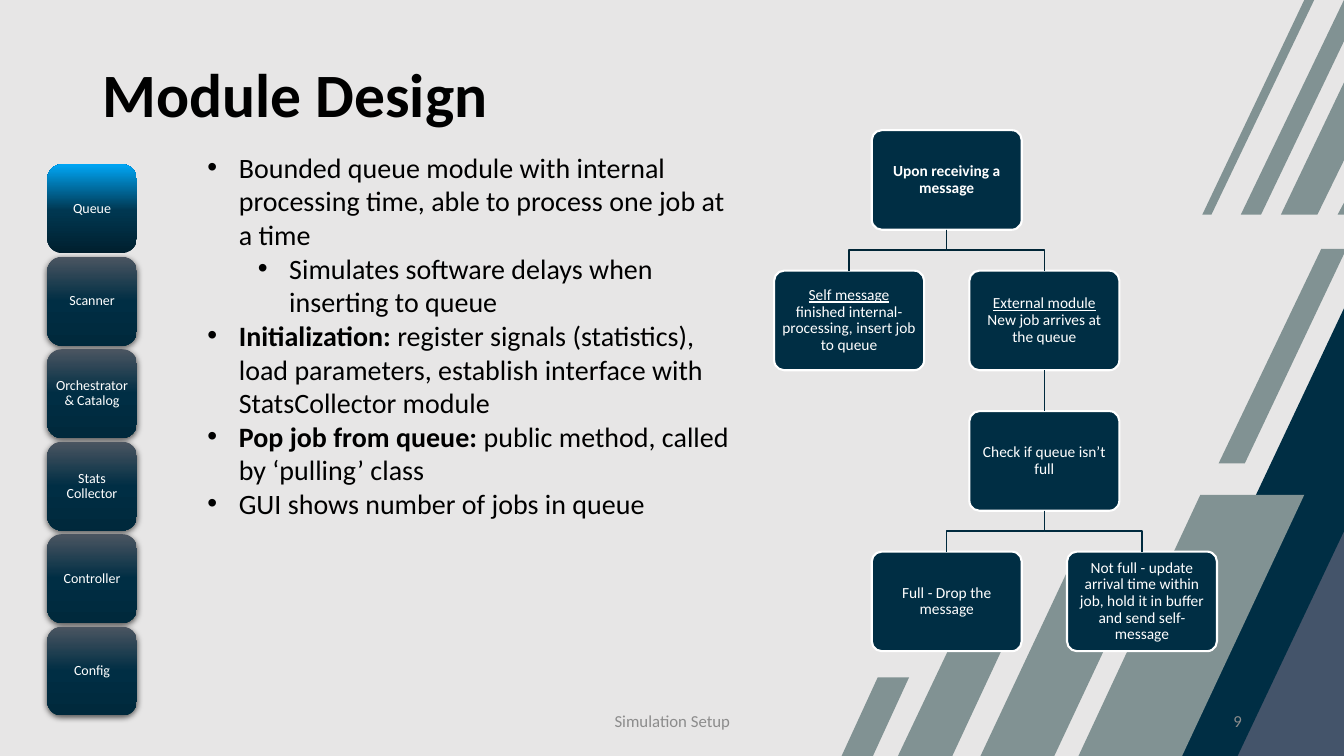
"""Build the Module Design slide with its module sidebar and message flow tree."""
from typing import NamedTuple

from lxml.etree import SubElement
from pptx import Presentation
from pptx.dml.color import RGBColor
from pptx.enum.shapes import MSO_CONNECTOR as Link, MSO_SHAPE as Preset
from pptx.enum.text import MSO_ANCHOR as Anchor, MSO_AUTO_SIZE as AutoSize, PP_ALIGN as Align
from pptx.oxml import parse_xml
from pptx.oxml.ns import nsdecls, qn
from pptx.shapes.autoshape import Shape
from pptx.slide import Slide
from pptx.util import Cm, Pt

Point = tuple[float, float]


class Theme(NamedTuple):
    font: str = "Calibri"
    backdrop: str = "E7E6E6"
    sage: str = "819293"
    slate: str = "44546A"
    navy: str = "002E44"
    upper_link: str = "002536"
    lower_link: str = "002A3E"
    ink: str = "000000"
    light: str = "FFFFFF"
    muted: str = "8C8C8C"
    active: tuple = ((0, "001F2E"), (48, "003751"), (100, "00A6F5"))
    idle: tuple = ((0, "4B5561"), (50, "002E44"), (100, "00293C"))
    title_size: int = 44
    body_size: int = 20
    footer_size: int = 12
    node_size: int = 11
    module_size: int = 10


class Run(NamedTuple):
    text: str
    bold: bool = False
    underline: bool = False
    break_after: bool = False


class Para(NamedTuple):
    runs: tuple[Run, ...]
    indent: float = 0
    level: int = 0


class Node(NamedTuple):
    column: int
    row: int
    runs: tuple[Run, ...]
    parent: str = ""


class Stripe(NamedTuple):
    color: str
    points: tuple[Point, ...]


THEME = Theme()
STRIPES = (
    Stripe(THEME.sage, ((26.57, 19.05), (24.71, 19.05), (26.92, 14.35), (28.78, 14.35))),
    Stripe(THEME.sage, ((24, 19.05), (22.63, 19.05), (24.26, 15.62), (25.6, 15.62))),
    Stripe(THEME.sage, ((22, 19.05), (21.21, 19.05), (22.12, 17.07), (22.91, 17.07))),
    Stripe(THEME.slate, ((31.19, 19.02), (29.87, 19.05), (33.87, 19.05), (33.87, 13.36))),
    Stripe(THEME.navy, ((28.55, 19.05), (31.19, 19.05), (33.87, 13.39), (33.87, 7.77))),
    Stripe(THEME.sage, ((33.3, 6.27), (30.71, 11.68), (31.37, 11.68), (33.87, 6.4), (33.87, 6.27))),
    Stripe(THEME.sage, ((30.3, 5.41), (30.53, 5.41), (33.12, 0), (32.87, 0))),
    Stripe(THEME.sage, ((33.71, 5.41), (33.87, 5.41), (33.87, 5.11))),
    Stripe(THEME.sage, ((32.28, 5.41), (33.2, 5.41), (33.87, 4.04), (33.87, 2.08))),
    Stripe(THEME.sage, ((33.87, 0), (31.27, 5.41), (31.78, 5.41), (33.87, 1.04))),
    Stripe(THEME.sage, ((29.79, 19.05), (27.18, 19.05), (30.25, 12.47), (32.87, 12.47))),
)
MODULES = ("Queue", "Scanner", "Orchestrator & Catalog", "Stats Collector", "Controller", "Config")
POINTS = (
    Para((Run("Bounded queue module with internal processing time, "
              "able to process one job at a time"),), 0.79),
    Para((Run("Simulates software delays when inserting to queue"),), 2.06, 1),
    Para((Run("Initialization: ", bold=True),
          Run("register signals (statistics), load parameters, "
              "establish interface with StatsCollector module")), 0.79),
    Para((Run("Pop job from queue: ", bold=True),
          Run("public method, called by ‘pulling’ class")), 0.79),
    Para((Run("GUI shows number of jobs in queue"),), 0.79),
)
NODES = {
    "receive": Node(1, 0, (Run("Upon receiving a message", bold=True),)),
    "self": Node(0, 1, (Run("Self message", underline=True, break_after=True),
                        Run("finished internal-processing, insert job to queue")), "receive"),
    "external": Node(2, 1, (Run("External module", underline=True, break_after=True),
                            Run("New job arrives at the queue")), "receive"),
    "check": Node(2, 2, (Run("Check if queue isn’t full"),), "external"),
    "full": Node(1, 3, (Run("Full - Drop the message"),), "check"),
    "not_full": Node(3, 3, (Run("Not full - update arrival time within job, "
                                "hold it in buffer and send self-message"),), "check"),
}


def write(target: Shape, paras: tuple[Para, ...], *, size: int, color: str,
          align: Align = Align.LEFT, anchor: Anchor = Anchor.MIDDLE, spacing: float = 1.0,
          inset: Point = (0.25, 0.13)) -> None:
    frame = target.text_frame
    frame.word_wrap, frame.vertical_anchor = True, anchor
    frame.margin_left = frame.margin_right = Cm(inset[0])
    frame.margin_top = frame.margin_bottom = Cm(inset[1])
    for index, para in enumerate(paras):
        line = frame.add_paragraph() if index else frame.paragraphs[0]
        line.alignment, line.line_spacing, line.level = align, spacing, para.level
        if para.indent:
            props = line._p.get_or_add_pPr()
            props.set("marL", str(Cm(para.indent)))
            props.set("indent", str(Cm(-0.79)))
            SubElement(props, qn("a:buFont")).set("typeface", "Arial")
            SubElement(props, qn("a:buChar")).set("char", "•")
        for part in para.runs:
            run = line.add_run()
            run.text = part.text
            run.font.name, run.font.size = THEME.font, Pt(size)
            run.font.bold, run.font.underline = part.bold, part.underline
            run.font.color.rgb = RGBColor.from_string(color)
            if part.break_after:
                line.add_line_break()


def add_label(slide: Slide, box: tuple[float, ...], paras: tuple[Para, ...], **style) -> Shape:
    label = slide.shapes.add_textbox(*map(Cm, box))
    write(label, paras, **style)
    return label


def paint(target: Shape, color: str) -> None:
    target.fill.solid()
    target.fill.fore_color.rgb = RGBColor.from_string(color)


def add_outline(slide: Slide, points: list[tuple[int, int]], closed: bool) -> Shape:
    builder = slide.shapes.build_freeform(*points[0])
    builder.add_line_segments(points[1:], close=closed)
    outline = builder.convert_to_shape()
    outline.shadow.inherit = False
    return outline


def add_module(slide: Slide, index: int, name: str, current: bool) -> None:
    tile = slide.shapes.add_shape(Preset.ROUNDED_RECTANGLE, Cm(1.19), Cm(4.14 + 2.33 * index),
                                  Cm(2.26), Cm(2.24))
    tile.line.fill.background()
    tile.shadow.inherit = False
    props = tile._element.spPr
    stops, angle = (THEME.active, 270) if current else (THEME.idle, 90)
    marks = "".join(f'<a:gs pos="{at * 1000}"><a:srgbClr val="{color}"/></a:gs>'
                    for at, color in stops)
    props.find(qn("a:prstGeom")).addnext(parse_xml(
        f'<a:gradFill {nsdecls("a")} rotWithShape="1"><a:gsLst>{marks}</a:gsLst>'
        f'<a:lin ang="{angle * 60000}" scaled="0"/></a:gradFill>'))
    if not current:
        props.find(qn("a:effectLst")).append(parse_xml(
            f'<a:outerShdw {nsdecls("a")} blurRad="{Pt(4.5)}" dist="{Pt(1.5)}" dir="5400000" '
            f'algn="ctr" rotWithShape="0"><a:srgbClr val="{THEME.ink}">'
            '<a:alpha val="63000"/></a:srgbClr></a:outerShdw>'))
    write(tile, (Para((Run(name),)),), size=THEME.module_size, color=THEME.light,
          align=Align.CENTER, spacing=0.9, inset=(0.1, 0.05))


def add_node(slide: Slide, node: Node) -> Shape:
    step = slide.shapes.add_shape(Preset.ROUNDED_RECTANGLE, Cm(19.51 + 2.46 * node.column),
                                  Cm(3.28 + 3.54 * node.row), Cm(3.78), Cm(2.51))
    step.adjustments[0] = 0.1
    step.shadow.inherit = False
    paint(step, THEME.navy)
    step.line.color.rgb, step.line.width = RGBColor.from_string(THEME.light), Pt(1.5)
    write(step, (Para(node.runs),), size=THEME.node_size, color=THEME.light,
          align=Align.CENTER, spacing=0.9, inset=(0.12, 0.12))
    return step


def add_link(slide: Slide, parent: Shape, child: Shape, color: str) -> None:
    x1, y1 = parent.left + parent.width // 2, parent.top + parent.height
    x2, y2 = child.left + child.width // 2, child.top
    if x1 == x2:
        link = slide.shapes.add_connector(Link.STRAIGHT, x1, y1, x2, y2)
        link.begin_connect(parent, 2)
        link.end_connect(child, 0)
        SubElement(link._element.spPr, qn("a:effectLst"))
    else:
        middle = (y1 + y2) // 2
        link = add_outline(slide, [(x1, y1), (x1, middle), (x2, middle), (x2, y2)], False)
        link.fill.background()
    link.line.color.rgb, link.line.width = RGBColor.from_string(color), Pt(1)


def main() -> None:
    deck = Presentation()
    deck.slide_width, deck.slide_height = Cm(33.87), Cm(19.05)
    slide = deck.slides.add_slide(deck.slide_layouts[6])
    paint(slide.background, THEME.backdrop)
    for stripe in STRIPES:
        band = add_outline(slide, [(Cm(x), Cm(y)) for x, y in stripe.points], True)
        paint(band, stripe.color)
        band.line.fill.background()
    for index, name in enumerate(MODULES):
        add_module(slide, index, name, name == "Queue")
    for box, text, align in (((11.23, 17.65, 11.43, 1.02), "Simulation Setup", Align.CENTER),
                             ((23.93, 17.65, 7.62, 1.02), "9", Align.RIGHT)):
        add_label(slide, box, (Para((Run(text),)),), align=align, size=THEME.footer_size,
                  color=THEME.muted)
    add_label(slide, (2.34, 1.02, 27.46, 2.87), (Para((Run("Module Design", bold=True),)),),
              size=THEME.title_size, color=THEME.ink, spacing=0.9)
    body = add_label(slide, (4.98, 3.66, 13.72, 9.65), POINTS, size=THEME.body_size,
                     color=THEME.ink, anchor=Anchor.TOP)
    body.text_frame.auto_size = AutoSize.SHAPE_TO_FIT_TEXT
    steps = {key: add_node(slide, node) for key, node in NODES.items()}
    for key, node in NODES.items():
        if node.parent:
            color = THEME.upper_link if node.row == 1 else THEME.lower_link
            add_link(slide, steps[node.parent], steps[key], color)
    deck.save("out.pptx")


if __name__ == "__main__":
    main()
